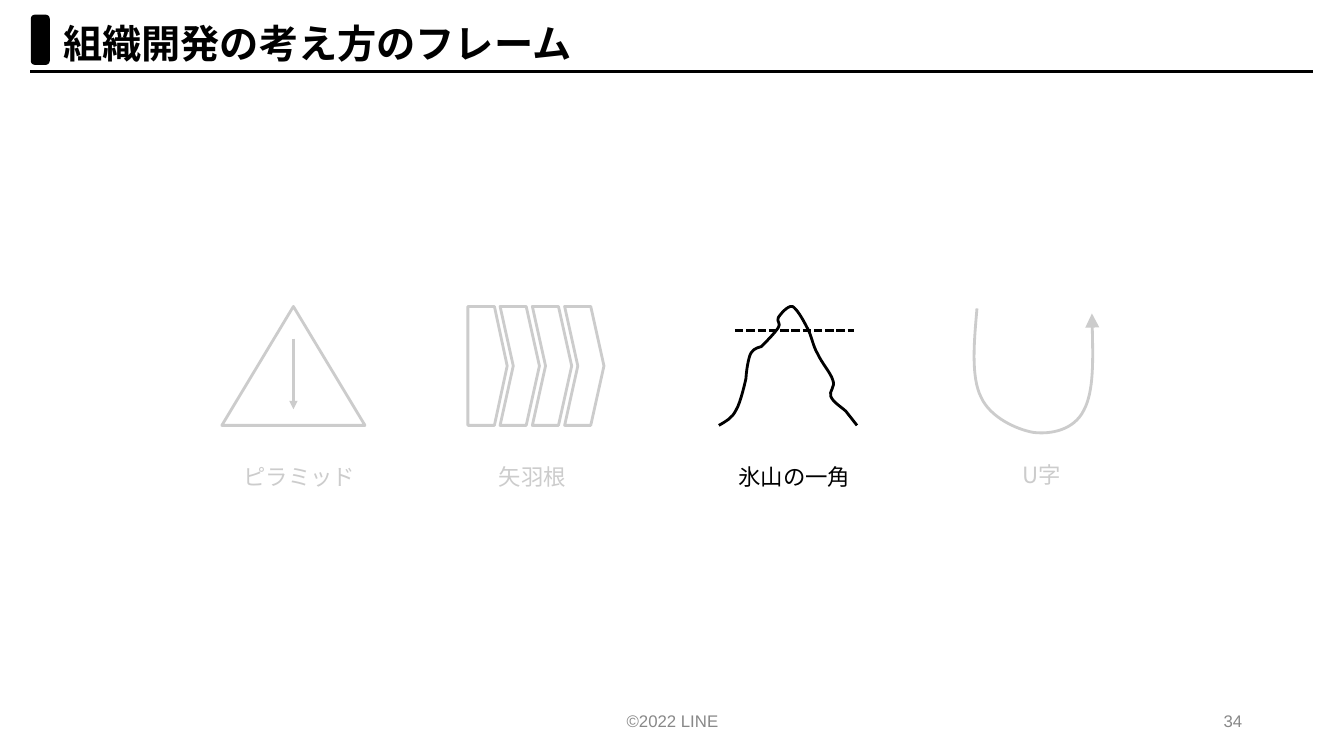
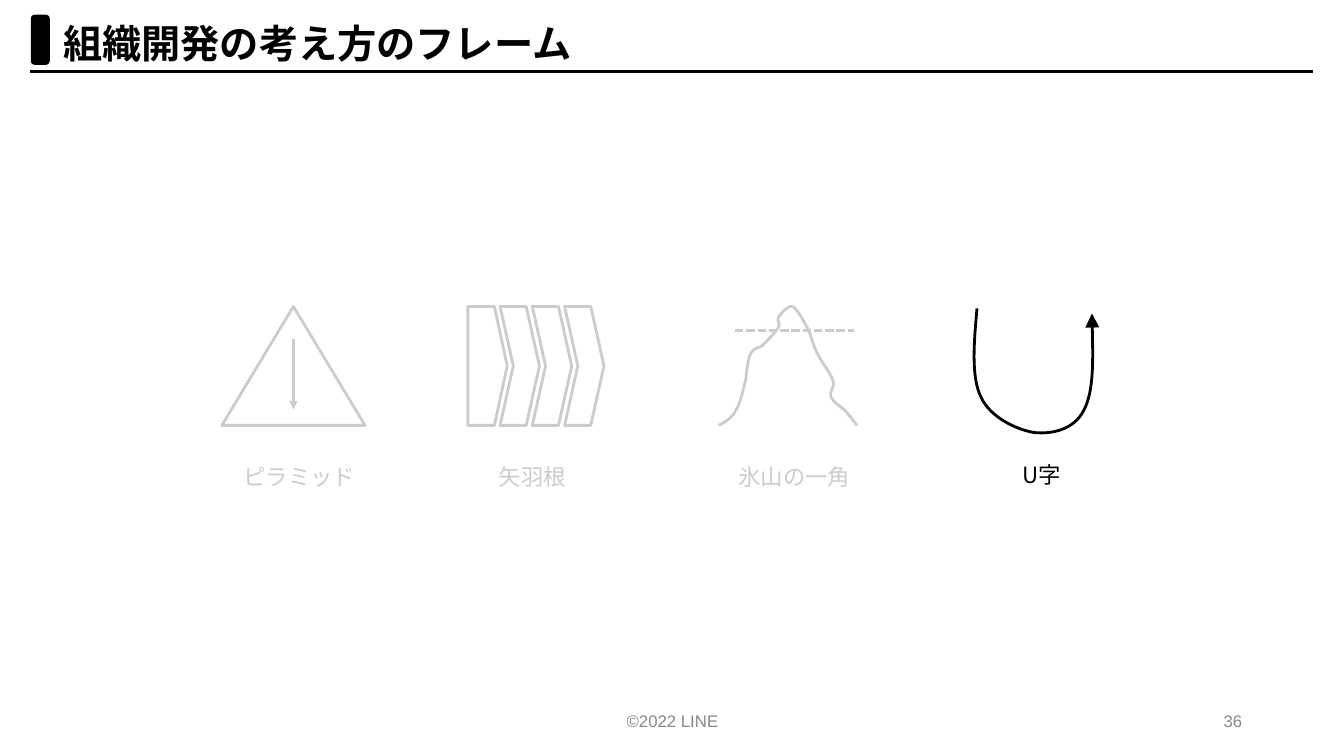
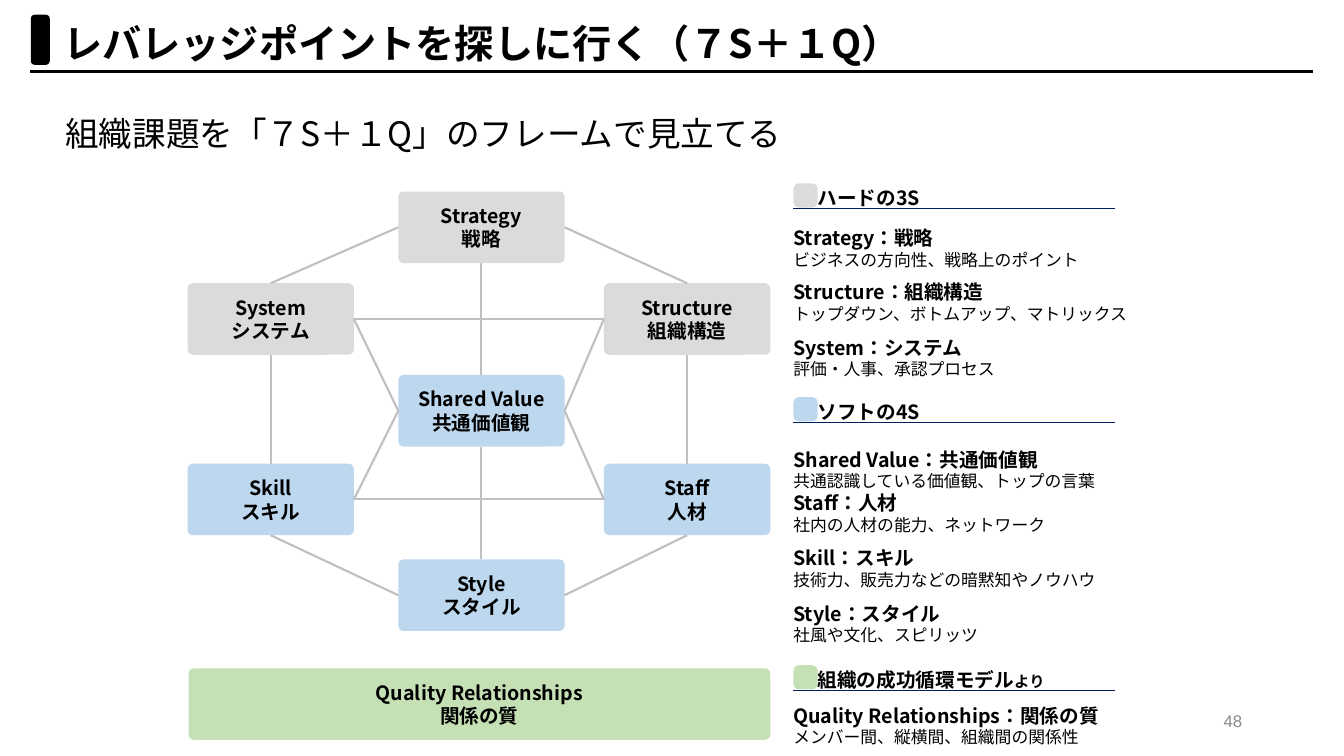
"""Build three slides on frames for organisation development."""
from lxml import etree
from pptx import Presentation
from pptx.dml.color import RGBColor
from pptx.enum.dml import MSO_LINE
from pptx.enum.lang import MSO_LANGUAGE_ID
from pptx.enum.shapes import MSO_CONNECTOR, MSO_SHAPE
from pptx.enum.text import MSO_ANCHOR, PP_ALIGN
from pptx.oxml.ns import qn
from pptx.util import Inches, Pt

BLACK = RGBColor(0x00, 0x00, 0x00)
WHITE = RGBColor(0xFF, 0xFF, 0xFF)
GRAY = RGBColor(0x88, 0x88, 0x88)
LINK = RGBColor(0xBF, 0xBF, 0xBF)
NAVY = RGBColor(0x00, 0x20, 0x60)
HARD = RGBColor(0xDB, 0xDB, 0xDB)
SOFT = RGBColor(0xBD, 0xD7, 0xEE)
GREEN = RGBColor(0xC5, 0xE0, 0xB4)

LEFT, CENTER, RIGHT = PP_ALIGN.LEFT, PP_ALIGN.CENTER, PP_ALIGN.RIGHT
TOP, MIDDLE = MSO_ANCHOR.TOP, MSO_ANCHOR.MIDDLE
STRAIGHT = MSO_CONNECTOR.STRAIGHT
DASH = MSO_LINE.SQUARE_DOT
RECT, ROUND = MSO_SHAPE.RECTANGLE, MSO_SHAPE.ROUNDED_RECTANGLE
PEAK, PLATE = MSO_SHAPE.ISOSCELES_TRIANGLE, MSO_SHAPE.PENTAGON
CHEVRON = MSO_SHAPE.CHEVRON
TONGUE = MSO_LANGUAGE_ID.JAPANESE

FONT, PLAIN = "Noto Sans CJK JP", "Arial"
N, W, S, E = range(4)

ICE = [
    (7.13, 4.22),
    (7.2, 4.18), (7.26, 4.15), (7.3, 4.07),
    (7.35, 3.99), (7.4, 3.75), (7.4, 3.75),
    (7.4, 3.71), (7.42, 3.55), (7.45, 3.5),
    (7.48, 3.45), (7.55, 3.44), (7.55, 3.44),
    (7.58, 3.41), (7.69, 3.3), (7.72, 3.25),
    (7.75, 3.21), (7.7, 3.19), (7.72, 3.15),
    (7.74, 3.12), (7.81, 3.03), (7.86, 3.04),
    (7.9, 3.06), (7.96, 3.16), (8, 3.24),
    (8.05, 3.32), (8.06, 3.43), (8.11, 3.51),
    (8.15, 3.6), (8.24, 3.7), (8.26, 3.77),
    (8.29, 3.84), (8.22, 3.88), (8.24, 3.93),
    (8.26, 3.99), (8.35, 4.04), (8.39, 4.08),
    (8.43, 4.13), (8.5, 4.22), (8.5, 4.22),
]
BEND = [
    (9.69, 3.06),
    (9.66, 3.4), (9.63, 3.74), (9.73, 3.94),
    (9.82, 4.14), (10.08, 4.26), (10.25, 4.29),
    (10.42, 4.31), (10.65, 4.27), (10.75, 4.07),
    (10.85, 3.88), (10.84, 3.49), (10.83, 3.11),
]
LABELS = [
    ("ピラミッド", 2.3, 4.55),
    ("矢羽根", 4.61, 4.55),
    ("氷山の一角", 7.21, 4.55),
    ("U字", 9.66, 4.53),
]
NODES = [
    ("Shared Value", "共通価値観", 3.95, 3.72, SOFT),
    ("Strategy", "戦略", 3.95, 1.9, HARD),
    ("Structure", "組織構造", 5.99, 2.81, HARD),
    ("System", "システム", 1.86, 2.81, HARD),
    ("Skill", "スキル", 1.86, 4.6, SOFT),
    ("Staff", "人材", 5.99, 4.6, SOFT),
    ("Style", "スタイル", 3.95, 5.55, SOFT),
]
LINKS = [
    ("Structure", W, "Shared Value", E),
    ("Staff", W, "Shared Value", E),
    ("Strategy", S, "Shared Value", N),
    ("System", E, "Shared Value", W),
    ("Shared Value", W, "Skill", E),
    ("Shared Value", S, "Style", N),
    ("Strategy", W, "System", N),
    ("Strategy", E, "Structure", N),
    ("System", S, "Skill", N),
    ("Structure", S, "Staff", N),
    ("Skill", S, "Style", W),
    ("Staff", S, "Style", E),
    ("System", E, "Structure", W),
    ("Skill", E, "Staff", W),
]
TERMS = [
    ("Strategy：戦略", "ビジネスの方向性、戦略上のポイント", 2.19),
    ("Structure：組織構造", "トップダウン、ボトムアップ、マトリックス", 2.73),
    ("System：システム", "評価・人事、承認プロセス", 3.28),
    ("Shared Value：共通価値観", "共通認識している価値観、トップの言葉", 4.39),
    ("Staff：人材", "社内の人材の能力、ネットワーク", 4.82),
    ("Skill：スキル", "技術力、販売力などの暗黙知やノウハウ", 5.37),
    ("Style：スタイル", "社風や文化、スピリッツ", 5.92),
    ("Quality Relationships：関係の質", "メンバー間、縦横間、組織間の関係性", 6.93),
]
HEADS = [
    ("ハードの3S", "", 1.8, HARD),
    ("ソフトの4S", "", 3.92, SOFT),
    ("組織の成功循環モデル", "より", 6.58, GREEN),
]


def style(run, size, bold=False, color=BLACK, face=FONT):
    font = run.font
    font.size, font.bold, font.name = Pt(size), bold, face
    font.color.rgb = color
    font.language_id = TONGUE
    etree.SubElement(font._element, qn("a:ea")).set("typeface", face)


def write(frame, rows, align=LEFT, anchor=TOP):
    """Fill a frame with rows of (text, size, bold)."""
    frame.word_wrap = True
    frame.vertical_anchor = anchor
    frame.text = "\n".join(row[0] for row in rows)
    for para, (_, size, bold) in zip(frame.paragraphs, rows):
        para.alignment = align
        style(para.runs[0], size, bold)


def add_text(slide, x, y, w, h, rows, align=LEFT):
    box = slide.shapes.add_textbox(*map(Inches, (x, y, w, h)))
    write(box.text_frame, rows, align)
    return box


def add_foot(slide, x, w, text, align):
    box = slide.shapes.add_textbox(*map(Inches, (x, 6.95, w, 0.4)))
    frame = box.text_frame
    frame.word_wrap = True
    frame.vertical_anchor = MIDDLE
    frame.text = text
    para = frame.paragraphs[0]
    para.alignment = align
    style(para.runs[0], 12, color=GRAY, face=PLAIN)


def paint(shape, fill=None, line=None):
    shape.shadow.inherit = False
    if fill is None:
        shape.fill.background()
    else:
        shape.fill.solid()
        shape.fill.fore_color.rgb = fill
    if line is None:
        shape.line.fill.background()
    else:
        shape.line.color.rgb = line
        shape.line.width = Pt(2)


def add_box(slide, kind, x, y, w, h, fill=None, line=None, adj=None):
    shape = slide.shapes.add_shape(kind, *map(Inches, (x, y, w, h)))
    paint(shape, fill, line)
    if adj is not None:
        shape.adjustments[0] = adj
    return shape


def add_line(slide, x1, y1, x2, y2, color=BLACK, width=2):
    ends = map(Inches, (x1, y1, x2, y2))
    line = slide.shapes.add_connector(STRAIGHT, *ends)
    line.line.color.rgb = color
    line.line.width = Pt(width)
    etree.SubElement(line._element.spPr, qn("a:effectLst"))
    return line


def add_tip(shape, size="med"):
    tail = etree.SubElement(shape.line._get_or_add_ln(), qn("a:tailEnd"))
    tail.set("type", "triangle")
    tail.set("w", size)
    tail.set("len", size)


def add_curve(slide, points):
    """Draw an open chain of cubic curves, three points to each."""
    first, *rest = [tuple(map(Inches, point)) for point in points]
    pen = slide.shapes.build_freeform(*first)
    pen.add_line_segments(rest, close=False)
    shape = pen.convert_to_shape()
    parts = list(shape._element.spPr.iter(qn("a:lnTo")))
    for i in range(0, len(parts), 3):
        head, *others = parts[i:i + 3]
        head.tag = qn("a:cubicBezTo")
        for part in others:
            head.append(part[0])
            part.getparent().remove(part)
    paint(shape, line=BLACK)
    return shape


def add_veil(slide, x, y, w):
    veil = add_box(slide, RECT, x, y, w, 3.82, WHITE)
    color = veil._element.spPr.find(".//" + qn("a:srgbClr"))
    etree.SubElement(color, qn("a:alpha")).set("val", "80000")


def add_slide(deck, title, page):
    slide = deck.slides.add_slide(deck.slide_layouts[6])
    add_text(slide, 0.53, 0.14, 9.51, 0.57, [(title, 28, True)])
    add_line(slide, 0.3, 0.71, 13.02, 0.71)
    add_box(slide, ROUND, 0.32, 0.16, 0.16, 0.47, BLACK, BLACK)
    add_foot(slide, 9.42, 3, page, RIGHT)
    return slide


def add_frames(deck, page, veils):
    """Add the four frames and fade those under the veils."""
    slide = add_slide(deck, "組織開発の考え方のフレーム", page)
    add_foot(slide, 4.42, 4.5, "©2022 LINE", CENTER)
    add_box(slide, PEAK, 2.2, 3.04, 1.42, 1.18, line=BLACK)
    add_tip(add_line(slide, 2.91, 3.36, 2.91, 4.06))
    for i in range(4):
        kind, adj = (CHEVRON, 0.336) if i else (PLATE, 0.324)
        add_box(slide, kind, 4.64 + 0.32 * i, 3.04, 0.39, 1.18,
                line=BLACK, adj=adj)
    add_curve(slide, ICE)
    add_line(slide, 7.29, 3.28, 8.47, 3.28).line.dash_style = DASH
    add_tip(add_curve(slide, BEND), "lg")
    for text, x, y in LABELS:
        add_text(slide, x, y, 1.34, 0.37, [(text, 16, False)], CENTER)
    for veil in veils:
        add_veil(slide, *veil)


def add_node(slide, name, text, x, y, fill, w=1.65):
    node = add_box(slide, ROUND, x, y, w, 0.71, fill, adj=0.075)
    rows = [(name, 14, True), (text, 14, True)]
    write(node.text_frame, rows, CENTER, MIDDLE)
    return node


def add_head(slide, text, tail, y, fill):
    box = add_text(slide, 8.01, y, 2.99, 0.34, [(text, 14, True)])
    if tail:
        run = box.text_frame.paragraphs[0].add_run()
        run.text = tail
        style(run, 11, True)
    add_line(slide, 7.87, y + 0.27, 11.06, y + 0.27, NAVY, 0.75)
    add_box(slide, ROUND, 7.87, y + 0.02, 0.24, 0.24, fill, adj=0.227)


def add_model(deck):
    slide = add_slide(deck, "レバレッジポイントを探しに行く（７S＋１Q）", "48")
    lead = "組織課題を「７S＋１Q」のフレームで見立てる"
    add_text(slide, 0.55, 1.07, 9.77, 0.5, [(lead, 24, False)])
    nodes = {node[0]: add_node(slide, *node) for node in NODES}
    for start, out, end, into in LINKS:
        link = add_line(slide, 0, 0, 1, 1, LINK, 1.5)
        link.begin_connect(nodes[start], out)
        link.end_connect(nodes[end], into)
    add_node(slide, "Quality Relationships", "関係の質",
             1.87, 6.63, GREEN, 5.77)
    for name, text, y in TERMS:
        rows = [(name, 14, True), (text, 12, False)]
        add_text(slide, 7.77, y, 3.8, 0.54, rows)
    for head in HEADS:
        add_head(slide, *head)


def main():
    deck = Presentation()
    deck.slide_width, deck.slide_height = Inches(13.33), Inches(7.5)
    add_frames(deck, "34", [(9.23, 1.82, 3.19), (1.5, 1.92, 5.04)])
    add_frames(deck, "36", [(1.47, 1.92, 7.88)])
    add_model(deck)
    deck.save("out.pptx")


if __name__ == "__main__":
    main()
